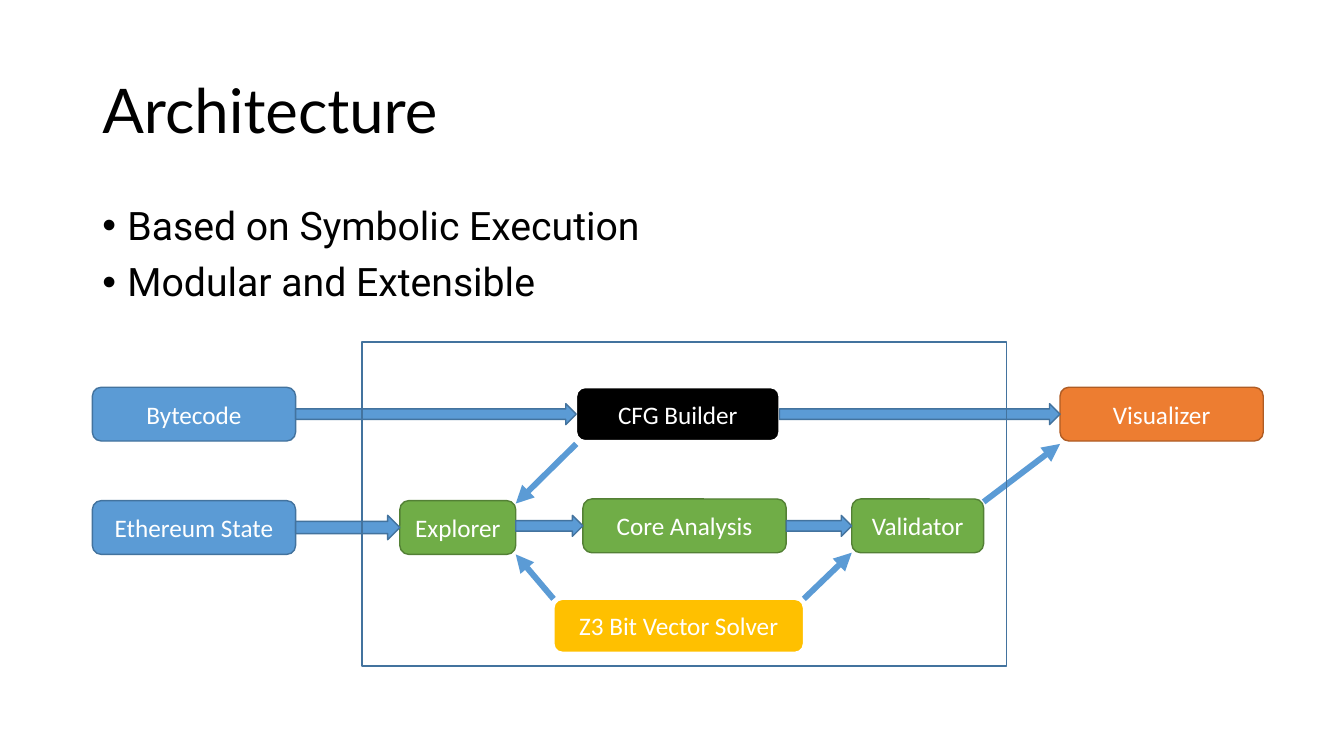
from dataclasses import dataclass

from lxml import etree
from pptx import Presentation
from pptx.dml.color import RGBColor
from pptx.enum.shapes import MSO_CONNECTOR, MSO_SHAPE
from pptx.enum.text import MSO_ANCHOR, PP_ALIGN
from pptx.oxml.ns import qn
from pptx.util import Inches, Pt

ROUNDED, ARROW, RECTANGLE = (
    MSO_SHAPE.ROUNDED_RECTANGLE, MSO_SHAPE.RIGHT_ARROW, MSO_SHAPE.RECTANGLE)
STRAIGHT = MSO_CONNECTOR.STRAIGHT
TOP, MIDDLE = MSO_ANCHOR.TOP, MSO_ANCHOR.MIDDLE
LEFT, CENTER = PP_ALIGN.LEFT, PP_ALIGN.CENTER

CELL = Inches(1 / 12)
COLUMNS, ROWS = 160, 90
MARGIN, CONTENT_WIDTH = 11, 138
BOX_WIDTH, BOX_HEIGHT = 24.2, 6.4
TOP_ROW, INPUT_ROW, CORE_ROW, SOLVER_ROW = 46.1, 59.6, 59.4, 71.3

COLORS = {
    "blue": "5B9BD5", "blue_edge": "43739E",
    "green": "70AD47", "green_edge": "538035",
    "orange": "ED7D31", "orange_edge": "AF5C24",
    "gold": "FFC000", "black": "000000", "white": "FFFFFF",
}


@dataclass
class Block:
    """A labelled module placed in grid columns and rows."""
    label: str
    left: float
    top: float
    fill: str
    edge: str
    width: float = BOX_WIDTH
    edge_width: float = 1

    def corner(self, side_x, side_y):
        """Return a corner; 0 means left or top and 1 right or bottom."""
        return self.left + side_x * self.width, self.top + side_y * BOX_HEIGHT


BLOCKS = {
    "bytecode": Block("Bytecode", MARGIN, TOP_ROW, "blue", "blue_edge"),
    "state": Block("Ethereum State", MARGIN, INPUT_ROW, "blue", "blue_edge"),
    "builder": Block("CFG Builder", 68.6, TOP_ROW, "black", "white", edge_width=1.5),
    "explorer": Block("Explorer", 47.6, INPUT_ROW, "green", "green_edge", 13.8),
    "analysis": Block("Core Analysis", 69.4, CORE_ROW, "green", "green_edge"),
    "validator": Block("Validator", 101.4, CORE_ROW, "green", "green_edge", 15.7),
    "solver": Block("Z3 Bit Vector Solver", 65.9, SOLVER_ROW, "gold", "white", 29.8, 1.5),
    "visualizer": Block("Visualizer", 126.2, TOP_ROW, "orange", "orange_edge"),
}
FLOWS = [
    ("bytecode", "builder", 2.5), ("state", "explorer", 2.9),
    ("explorer", "analysis", 2.5), ("analysis", "validator", 2.5),
    ("builder", "visualizer", 2.5),
]
DIAGONALS = [
    ("builder", (0, 1), "explorer", (1, 0), 0.35),
    ("solver", (0, 0), "explorer", (1, 1), 0),
    ("solver", (1, 0), "validator", (0, 1), 0),
    ("validator", (1, 0), "visualizer", (0, 1), 0.35),
]


def grid(*cells):
    """Convert grid cells to slide lengths."""
    return [round(cell * CELL) for cell in cells]


def color(name):
    """Look up a named colour."""
    return RGBColor.from_string(COLORS[name])


def add_bullet(para):
    """Give a paragraph a hanging round bullet."""
    properties = para._p.get_or_add_pPr()
    properties.set("marL", str(Inches(0.25)))
    properties.set("indent", str(-Inches(0.25)))
    etree.SubElement(properties, qn("a:buFont")).set("typeface", "Arial")
    etree.SubElement(properties, qn("a:buChar")).set("char", "•")


def write_text(box, text, font="Calibri", size=18, ink="white", align=CENTER,
               anchor=MIDDLE, spacing=1.0, before=0, bullet=False):
    """Write one paragraph per line of text into a box."""
    frame = box.text_frame
    frame.word_wrap = True
    frame.vertical_anchor = anchor
    for index, line in enumerate(text.split("\n")):
        para = frame.add_paragraph() if index else frame.paragraphs[0]
        if bullet:
            add_bullet(para)
        para.alignment = align
        para.line_spacing = spacing
        para.space_before = Pt(before if index else 0)
        span = para.add_run()
        span.text = line
        span.font.name = font
        span.font.size = Pt(size)
        span.font.color.rgb = color(ink)


def add_text(page, area, text, **style):
    """Add a text box on the grid."""
    box = page.shapes.add_textbox(*grid(*area))
    write_text(box, text, ink="black", align=LEFT, spacing=0.9, **style)


def add_box(page, kind, area, fill, edge, edge_width=1):
    """Add an outlined shape, left hollow when fill is None."""
    box = page.shapes.add_shape(kind, *grid(*area))
    box.shadow.inherit = False
    if fill:
        box.fill.solid()
        box.fill.fore_color.rgb = color(fill)
    else:
        box.fill.background()
    box.line.color.rgb = color(edge)
    box.line.width = Pt(edge_width)
    return box


def add_block(page, block):
    """Draw a module with its label."""
    area = (block.left, block.top, block.width, BOX_HEIGHT)
    box = add_box(page, ROUNDED, area, block.fill, block.edge, block.edge_width)
    write_text(box, block.label)


def add_flow(page, source, target, height):
    """Fill the gap between two modules with a block arrow."""
    start = source.left + source.width
    top = target.top + (BOX_HEIGHT - height) / 2
    add_box(page, ARROW, (start, top, target.left - start, height), "blue", "blue_edge")


def add_diagonal(page, start, end, drop):
    """Draw a thick arrow between two corners, lowered by drop rows."""
    (start_x, start_y), (end_x, end_y) = start, end
    line = page.shapes.add_connector(
        STRAIGHT, *grid(start_x, start_y + drop, end_x, end_y + drop))
    line.line.color.rgb = color("blue")
    line.line.width = Pt(4.25)
    etree.SubElement(line.line._get_or_add_ln(), qn("a:tailEnd")).set("type", "triangle")
    etree.SubElement(line._element.spPr, qn("a:effectLst"))


def main():
    """Build the architecture slide."""
    deck = Presentation()
    deck.slide_width, deck.slide_height = grid(COLUMNS, ROWS)
    page = deck.slides.add_slide(deck.slide_layouts[6])
    add_text(page, (MARGIN, 4.8, CONTENT_WIDTH, 17.4), "Architecture",
             font="Lato", size=44)
    add_text(page, (MARGIN, 24, CONTENT_WIDTH, 55.3),
             "Based on Symbolic Execution\nModular and Extensible",
             font="Roboto", size=28, anchor=TOP, before=10, bullet=True)
    for block in BLOCKS.values():
        add_block(page, block)
    for source, target, height in FLOWS:
        add_flow(page, BLOCKS[source], BLOCKS[target], height)
    for source, source_corner, target, target_corner, drop in DIAGONALS:
        add_diagonal(page, BLOCKS[source].corner(*source_corner),
                     BLOCKS[target].corner(*target_corner), drop)
    add_box(page, RECTANGLE, (43.1, 40.7, 76.7, 38.6), None, "blue_edge")
    deck.save("out.pptx")


if __name__ == "__main__":
    main()
